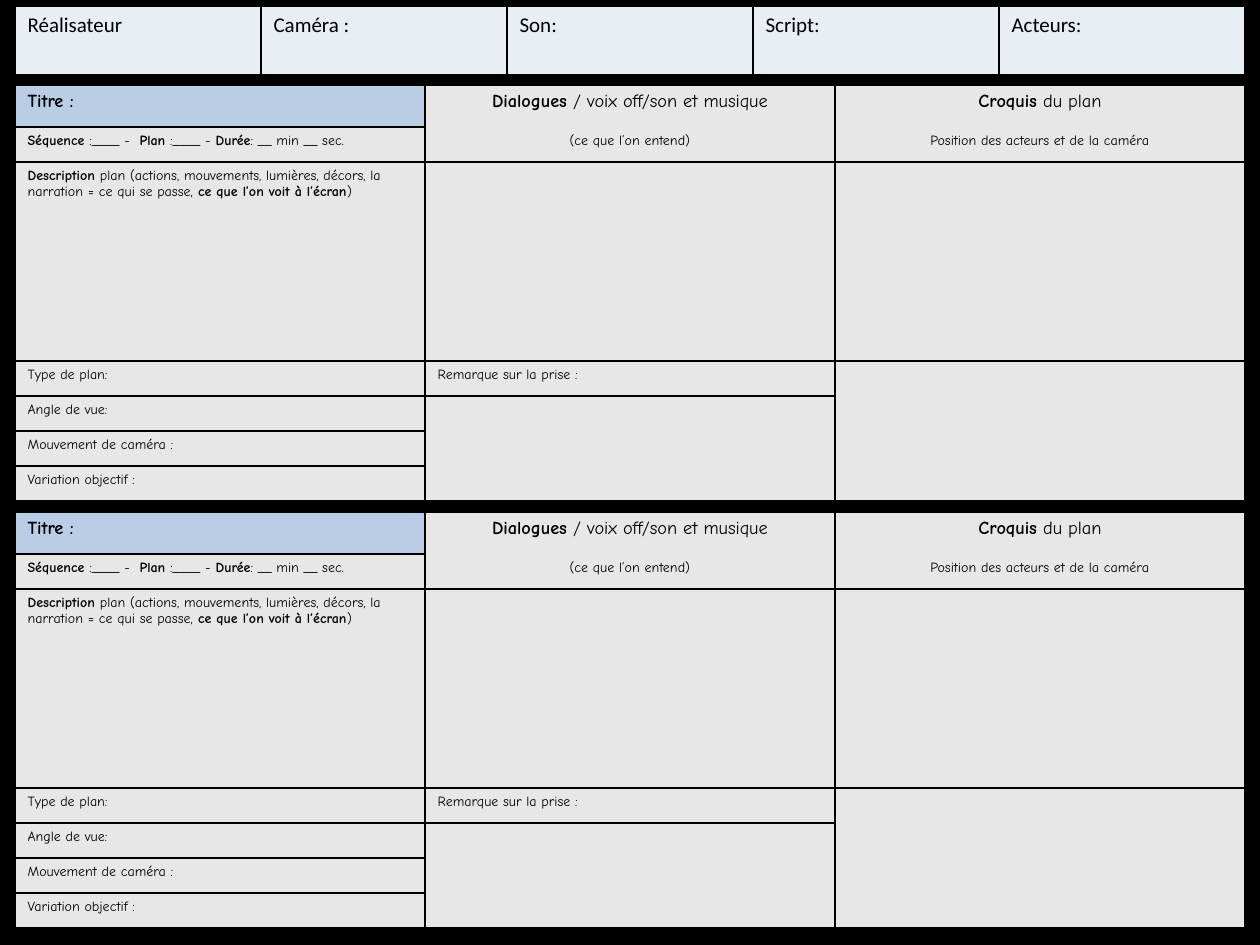
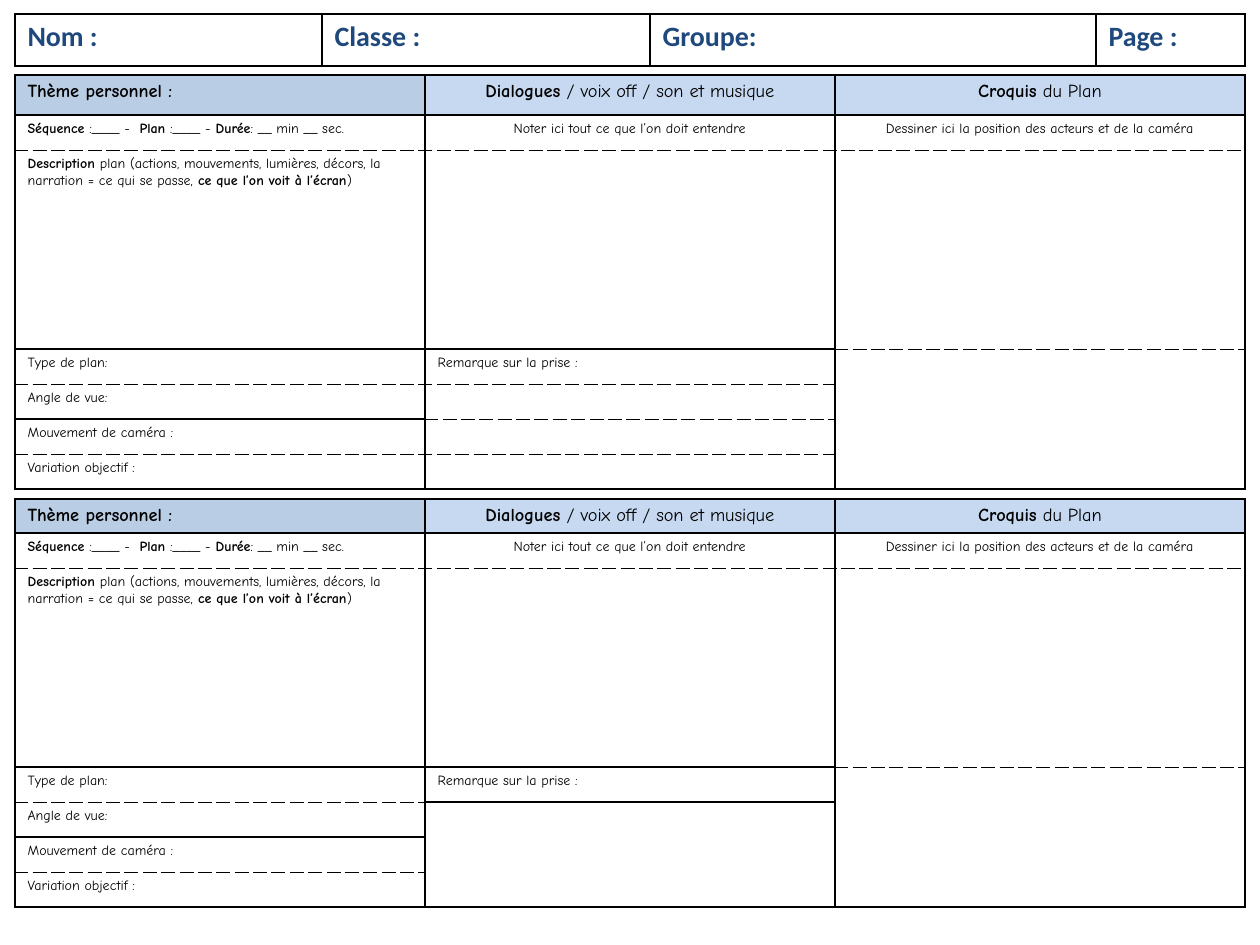
from dataclasses import dataclass

from lxml.etree import SubElement
from pptx import Presentation
from pptx.dml.color import RGBColor
from pptx.enum.shapes import MSO_SHAPE as Shape
from pptx.enum.text import PP_ALIGN as Align
from pptx.oxml.ns import qn
from pptx.util import Emu, Pt

PX = 914400 / 126
PAGE_WIDTH, PAGE_HEIGHT = 1260, 945
LEFT = 15
PLAIN_TABLE_STYLE = "{2D5ABB26-0587-4C30-8999-92F81FD0307C}"


@dataclass(frozen=True)
class Theme:
    black: str = "000000"
    white: str = "FFFFFF"
    navy: str = "1F497D"
    title_blue: str = "B9CDE5"
    heading_blue: str = "C6D9F1"
    crew_blue: str = "E9EDF4"
    grey: str = "E7E7E7"
    crew_font: str = "Calibri"
    plan_font: str = "Comic Neue"
    crew_size: float = 12
    pupil_size: float = 16
    heading_size: float = 10.5
    body_size: float = 8


THEME = Theme()

# Double asterisks enclose bold words.
SEQUENCE = "**Séquence** :____ -  **Plan** :____ - **Durée**: __ min __ sec."
DESCRIPTION = ("**Description** plan (actions, mouvements, lumières, décors, la narration "
               "= ce qui se passe, **ce que l’on voit à l’écran**)")
SHOT_FIELDS = [
    [DESCRIPTION, "", ""],
    ["Type de plan:", "Remarque sur la prise :", ""],
    ["Angle de vue:", "", ""],
    ["Mouvement de caméra :", "", ""],
    ["Variation objectif :", "", ""],
]
CREW_ROWS = [
    ["**Titre :**", "**Dialogues** / voix off/son et musique", "**Croquis** du plan"],
    [SEQUENCE, "(ce que l’on entend)", "Position des acteurs et de la caméra"],
    *SHOT_FIELDS,
]
PUPIL_ROWS = [
    ["**Thème personnel :**", "**Dialogues** / voix off / son et musique", "**Croquis** du Plan"],
    [SEQUENCE, "Noter ici tout ce que l’on doit entendre",
     "Dessiner ici la position des acteurs et de la caméra"],
    *SHOT_FIELDS,
]

# Each string lists one column's horizontal rules from top to bottom:
# s = solid, d = dashed, . = none.
CREW_RULES = ["ssss.s.s", "s.ss...s", "s.s....s"]
PUPIL_RULES_UPPER = ["ssdsdsds", "ssdsddds", "ssd....s"]
PUPIL_RULES_LOWER = ["ssdsdsds", "ssds...s", "ssd....s"]

PLAN_COLUMNS = [410] * 3
FIELD_HEIGHTS = [35, 199, 35, 35, 35, 35]

SHEETS = [
    {
        "paper": None,
        "banner": {
            "top": 6, "height": 69, "widths": [246] * 5, "fill": THEME.crew_blue,
            "labels": ["Réalisateur", "Caméra :", "Son:", "Script:", "Acteurs:"],
            "font": {"name": THEME.crew_font, "size": Pt(THEME.crew_size)},
            "color": THEME.black,
        },
        "rows": CREW_ROWS, "heading_fill": THEME.grey, "body_fill": THEME.grey,
        "plans": [(85, 42, CREW_RULES), (512, 42, CREW_RULES)],
    },
    {
        "paper": THEME.white,
        "banner": {
            "top": 14, "height": 52, "widths": [307, 328, 446, 149], "fill": THEME.white,
            "labels": ["**Nom :**", "**Classe :**", "**Groupe:**", "**Page :**"],
            "font": {"name": THEME.crew_font, "size": Pt(THEME.pupil_size)},
            "color": THEME.navy,
        },
        "rows": PUPIL_ROWS, "heading_fill": THEME.heading_blue, "body_fill": THEME.white,
        "plans": [(75, 40, PUPIL_RULES_UPPER), (499, 34, PUPIL_RULES_LOWER)],
    },
]


def px(length):
    return Emu(round(length * PX))


def rgb(color):
    return RGBColor.from_string(color)


def paint(fill, color):
    fill.solid()
    fill.fore_color.rgb = rgb(color)


def write(cell, text, font, color, align=Align.LEFT):
    """Fill a cell with text whose **marked** parts are bold."""
    para = cell.text_frame.paragraphs[0]
    para.alignment = align
    for index, part in enumerate(text.split("**")):
        if part:
            span = para.add_run()
            span.text = part
            for name, value in {**font, "bold": index % 2 == 1}.items():
                setattr(span.font, name, value)
            span.font.color.rgb = rgb(color)
    if not text:  # keeps an empty row from growing to the default text size
        SubElement(para._p, qn("a:endParaRPr"), sz=str(int(font["size"].pt * 100)))


def draw_borders(cell, above, below):
    props = cell._tc.get_or_add_tcPr()
    for side, rule in zip("LRTB", ("s", "s", above, below)):
        if rule == ".":
            continue
        line = SubElement(props, qn(f"a:ln{side}"), w=str(Pt(1 if rule == "s" else 0.25)))
        SubElement(SubElement(line, qn("a:solidFill")), qn("a:srgbClr"), val=THEME.black)
        SubElement(line, qn("a:prstDash"), val="solid" if rule == "s" else "sysDash")


def add_grid(page, top, widths, heights):
    frame = page.shapes.add_table(len(heights), len(widths), px(LEFT), px(top),
                                  px(sum(widths)), px(sum(heights)))
    table = frame.table
    table.first_row = table.horz_banding = False
    table._tbl.tblPr.find(qn("a:tableStyleId")).text = PLAIN_TABLE_STYLE
    for column, width in zip(table.columns, widths):
        column.width = px(width)
    for row, height in zip(table.rows, heights):
        row.height = px(height)
    return table


def add_banner(page, banner):
    table = add_grid(page, banner["top"], banner["widths"], [banner["height"]])
    for cell, label in zip(table.iter_cells(), banner["labels"]):
        draw_borders(cell, "s", "s")
        paint(cell.fill, banner["fill"])
        write(cell, label, banner["font"], banner["color"])


def add_plan(page, sheet, top, heading_height, rules):
    table = add_grid(page, top, PLAN_COLUMNS, [heading_height, *FIELD_HEIGHTS])
    for r, texts in enumerate(sheet["rows"]):
        size = THEME.body_size if r else THEME.heading_size
        font = {"name": THEME.plan_font, "size": Pt(size)}
        for c, text in enumerate(texts):
            cell = table.cell(r, c)
            draw_borders(cell, *rules[c][r:r + 2])
            if r:
                color = sheet["body_fill"]
            else:
                color = sheet["heading_fill"] if c else THEME.title_blue
            paint(cell.fill, color)
            centred = r < 2 and c > 0
            write(cell, text, font, THEME.black, Align.CENTER if centred else Align.LEFT)


def add_paper(page, color):
    paper = page.shapes.add_shape(Shape.RECTANGLE, 0, 0, px(PAGE_WIDTH), px(PAGE_HEIGHT))
    paper.shadow.inherit = False
    paint(paper.fill, color)
    paint(paper.line.fill, color)
    paper.line.width = Pt(2)


def main():
    deck = Presentation()
    deck.slide_width, deck.slide_height = px(PAGE_WIDTH), px(PAGE_HEIGHT)
    blank = deck.slide_layouts[6]
    for sheet in SHEETS:
        page = deck.slides.add_slide(blank)
        paint(page.background.fill, THEME.black)
        if sheet["paper"]:
            add_paper(page, sheet["paper"])
        add_banner(page, sheet["banner"])
        for top, heading_height, rules in sheet["plans"]:
            add_plan(page, sheet, top, heading_height, rules)
    deck.save("out.pptx")


if __name__ == "__main__":
    main()
